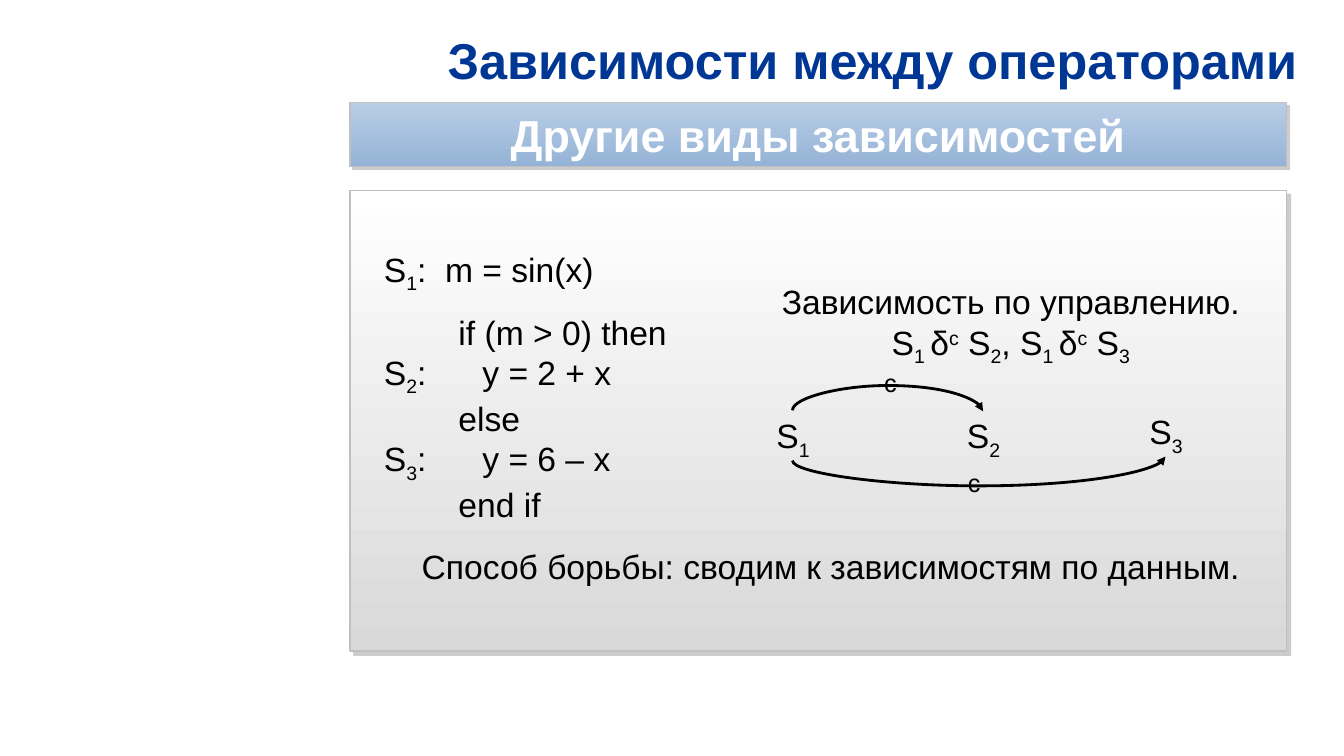
from lxml.etree import SubElement
from pptx import Presentation
from pptx.dml.color import RGBColor
from pptx.enum.shapes import MSO_CONNECTOR, MSO_SHAPE
from pptx.enum.text import MSO_ANCHOR, MSO_AUTO_SIZE, PP_ALIGN
from pptx.oxml.ns import qn
from pptx.util import Emu, Pt

SUB, SUP = -25000, 30000
LEFT, MID, RIGHT = PP_ALIGN.LEFT, PP_ALIGN.CENTER, PP_ALIGN.RIGHT


def px(n):
    """100 px to the inch."""
    return Emu(round(n * 9144))


def color(code):
    return RGBColor.from_string(code)


def add(parent, tag, **attrs):
    return SubElement(parent, qn(tag), {k: str(v) for k, v in attrs.items()})


class Board:
    font, ink, edge, shade = "Arial", "000000", "C0C0C0", "808080"

    def __init__(self, deck):
        self.slide = deck.slides.add_slide(deck.slide_layouts[6])

    def fill_text(self, frame, paras, size=24, tint=ink, bold=False, align=LEFT):
        """Each paragraph is a list of (text, baseline) runs; \\n breaks a line."""
        frame.word_wrap = True
        for i, runs in enumerate(paras):
            para = frame.add_paragraph() if i else frame.paragraphs[0]
            para.alignment = align
            if i:
                para.space_before = Pt(size / 2)
            for text, base in runs:
                for j, part in enumerate(text.split("\n")):
                    if j:
                        para.add_line_break()
                    run = para.add_run()
                    run.text = part
                    font = run.font
                    font.name, font.size, font.bold = self.font, Pt(size), bold
                    font.color.rgb = color(tint)
                    if base:
                        run._r.get_or_add_rPr().set("baseline", str(base))

    def text(self, box, paras, anchor=MSO_ANCHOR.TOP, **style):
        frame = self.slide.shapes.add_textbox(*map(px, box)).text_frame
        frame.vertical_anchor = anchor
        if anchor == MSO_ANCHOR.TOP:
            frame.auto_size = MSO_AUTO_SIZE.SHAPE_TO_FIT_TEXT
        self.fill_text(frame, paras, **style)
        return frame

    def panel(self, box, top, low, drop):
        shape = self.slide.shapes.add_shape(MSO_SHAPE.RECTANGLE, *map(px, box))
        shape.fill.gradient()
        shape.fill.gradient_angle = 270
        for stop, code, pos in zip(shape.fill.gradient_stops, (top, low), (0, 1)):
            stop.color.rgb = color(code)
            stop.position = pos
        shape.line.color.rgb = color(self.edge)
        shape.line.width = Pt(1)
        # Offset shadow
        shape.shadow.inherit = False
        effects = shape._element.spPr.find(qn("a:effectLst"))
        cast = add(effects, "a:outerShdw", blurRad=0, dist=Pt(drop),
                   dir=45 * 60000, algn="tl", rotWithShape=0)
        add(add(cast, "a:srgbClr", val=self.shade), "a:alpha", val=40000)
        return shape

    def arc(self, x1, y1, x2, y2, bulge):
        """Curved arrow, laid out upright and turned by 90 degrees."""
        cx, cy = (x1 + x2) / 2, (y1 + y2) / 2
        dx, dy = (y2 - y1) / 2, (x2 - x1) / 2
        link = self.slide.shapes.add_connector(
            MSO_CONNECTOR.CURVE, px(cx - dx), px(cy + dy), px(cx + dx), px(cy - dy))
        link.line.color.rgb = color(self.ink)
        link.line.width = Pt(2)
        add(link.line._get_or_add_ln(), "a:tailEnd", type="triangle")
        props = link._element.spPr
        add(props, "a:effectLst")
        props.find(qn("a:xfrm")).set("rot", str(90 * 60000))
        guides = props.find(qn("a:prstGeom")).find(qn("a:avLst"))
        ratio = round(-bulge / abs(y2 - y1) * 100000)
        add(guides, "a:gd", name="adj1", fmla=f"val {ratio}")


def main():
    deck = Presentation()
    deck.slide_width, deck.slide_height = px(1333), px(750)
    board = Board(deck)

    # Panel, title and heading bar
    board.panel((347, 189, 929, 457), "FFFFFF", "D9D9D9", 4)
    board.text((321, 23, 976, 72), [[("Зависимости между операторами", 0)]],
               anchor=MSO_ANCHOR.MIDDLE, size=36, tint="003794", bold=True, align=RIGHT)
    bar = board.panel((347, 102, 929, 63), "B9CDE5", "95B3D7", 3).text_frame
    bar.margin_left = bar.margin_right = px(24)
    bar.margin_top = bar.margin_bottom = px(4)
    bar.vertical_anchor = MSO_ANCHOR.MIDDLE
    board.fill_text(bar, [[("Другие виды зависимостей", 0)]],
                    size=32, tint="FFFFFF", bold=True, align=MID)

    # Program
    board.text((371, 242, 354, 273), [
        [("S", 0), ("1", SUB), (":  m = sin(x)", 0)],
        [("        if (m > 0) then\nS", 0), ("2", SUB),
         (":      y = 2 + x\n        else\nS", 0), ("3", SUB),
         (":      y = 6 – x\n        end if", 0)]])

    # Control dependence
    board.text((725, 274, 555, 91), [
        [("Зависимость по управлению.\nS", 0), ("1 ", SUB), ("δ", 0), ("c", SUP),
         (" S", 0), ("2", SUB), (", S", 0), ("1 ", SUB), ("δ", 0), ("c", SUP),
         (" S", 0), ("3", SUB)]], align=MID)

    # Graph nodes, arrows and their marks
    for num, x, y in (("1", 749, 407), ("2", 938, 407), ("3", 1119, 403)):
        board.text((x, y, 75, 50), [[("S", 0), (num, SUB)]], align=MID)
    board.arc(786, 407, 975, 408, 25)
    board.arc(786, 457, 1156, 453, 25)
    for x, y in ((867, 359), (950, 459)):
        board.text((x, y, 39, 40), [[("c", 0)]], size=18)

    # Remedy
    note = board.text((383, 521, 882, 67),
                      [[("Способ борьбы: сводим к зависимостям по данным.", 0)]], align=MID)
    note.paragraphs[0].line_spacing = 1.4

    deck.save("out.pptx")


if __name__ == "__main__":
    main()
